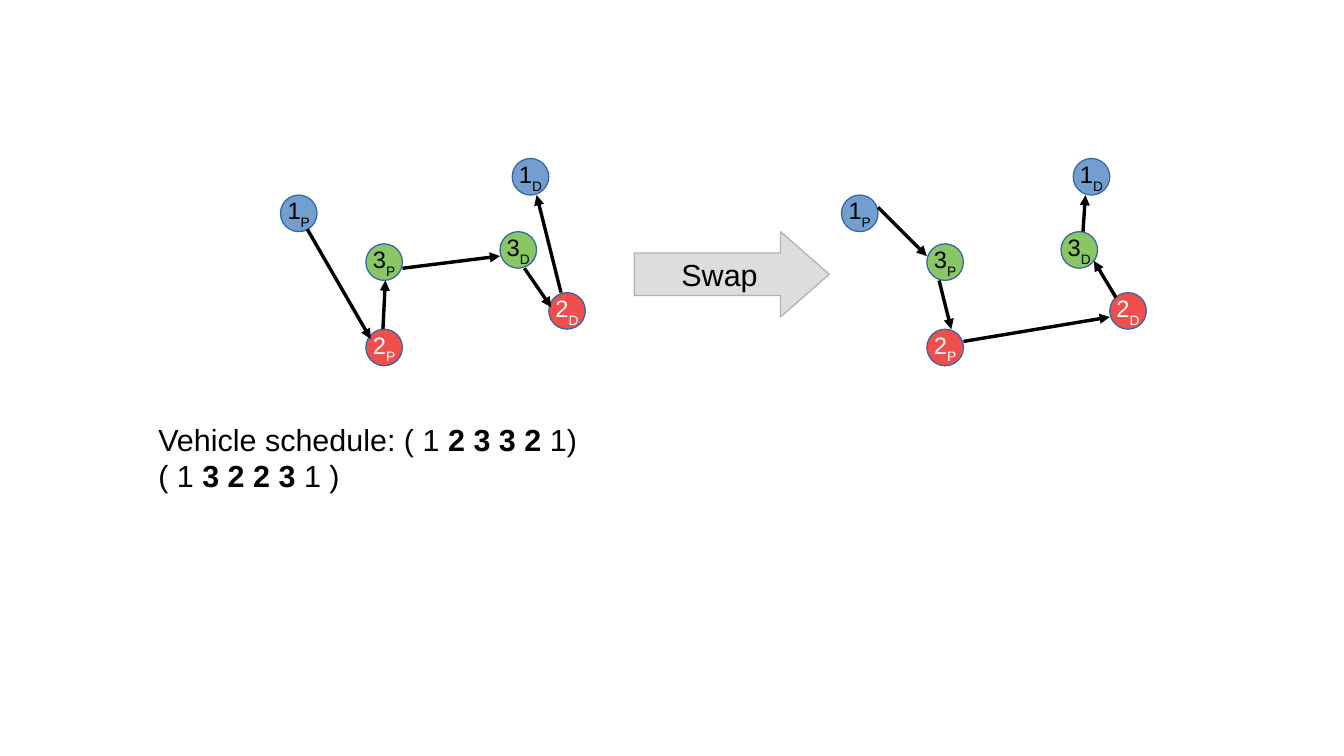
from typing import NamedTuple

import pptx
import pptx.dml.color
import pptx.enum.shapes
import pptx.enum.text
import pptx.oxml.ns
import pptx.shapes.autoshape
import pptx.slide
import pptx.util
from lxml import etree

PX = 9144
NODE_SIZE = 30
AFTER_SWAP_SHIFT = 460

BLACK = pptx.dml.color.RGBColor(0x00, 0x00, 0x00)
WHITE = pptx.dml.color.RGBColor(0xFF, 0xFF, 0xFF)
BLUE = pptx.dml.color.RGBColor(0x72, 0x9F, 0xCF)
RED = pptx.dml.color.RGBColor(0xF0, 0x4E, 0x4D)
GREEN = pptx.dml.color.RGBColor(0x89, 0xC7, 0x65)
NODE_LINE = pptx.dml.color.RGBColor(0x34, 0x65, 0xA4)
LIGHT_GREY = pptx.dml.color.RGBColor(0xDD, 0xDD, 0xDD)
MID_GREY = pptx.dml.color.RGBColor(0xB2, 0xB2, 0xB2)

Color = pptx.dml.color.RGBColor


class Node(NamedTuple):
    request: str
    stop: str
    left: int
    top: int
    fill: Color
    ink: Color


class Leg(NamedTuple):
    x1: int
    y1: int
    x2: int
    y2: int


NODES = [
    Node("1", "P", 230, 160, BLUE, BLACK),
    Node("1", "D", 420, 130, BLUE, BLACK),
    Node("2", "P", 300, 270, RED, WHITE),
    Node("2", "D", 450, 240, RED, WHITE),
    Node("3", "P", 300, 200, GREEN, BLACK),
    Node("3", "D", 410, 190, GREEN, BLACK),
]

LEGS = [
    Leg(252, 188, 304, 278),
    Leg(314, 270, 316, 230),
    Leg(330, 220, 410, 210),
    Leg(430, 220, 452, 252),
    Leg(460, 240, 440, 160),
    Leg(720, 170, 760, 210),
    Leg(770, 230, 780, 270),
    Leg(790, 280, 910, 260),
    Leg(915, 244, 897, 214),
    Leg(888, 190, 890, 160),
]

SCHEDULES = [
    [("Vehicle schedule: ( 1 ", False), ("2 3 3 2", True), (" 1)", False)],
    [("( 1 ", False), ("3 2 2 3", True), (" 1 )", False)],
]


def px(length: int) -> pptx.util.Emu:
    return pptx.util.Emu(length * PX)


def add_run(p, text: str, size: int, ink: Color, bold: bool = False, subscript: bool = False) -> None:
    r = p.add_run()
    r.text = text
    r.font.name = "Arial"
    r.font.size = pptx.util.Pt(size)
    r.font.bold = bold
    r.font.color.rgb = ink
    if subscript:
        r._r.get_or_add_rPr().set("baseline", "-33000")


def add_block(
    s: pptx.slide.Slide,
    kind: pptx.enum.shapes.MSO_SHAPE,
    box: tuple[int, int, int, int],
    fill: Color,
    line: Color,
) -> pptx.shapes.autoshape.Shape:
    sp = s.shapes.add_shape(kind, *map(px, box))
    sp.shadow.inherit = False
    sp.fill.solid()
    sp.fill.fore_color.rgb = fill
    sp.line.color.rgb = line
    sp.line.width = 0
    tf = sp.text_frame
    tf.word_wrap = False
    tf.vertical_anchor = pptx.enum.text.MSO_ANCHOR.MIDDLE
    tf.paragraphs[0].alignment = pptx.enum.text.PP_ALIGN.CENTER
    return sp


def add_node(s: pptx.slide.Slide, node: Node, shift: int) -> None:
    box = (node.left + shift, node.top, NODE_SIZE, NODE_SIZE)
    sp = add_block(s, pptx.enum.shapes.MSO_SHAPE.OVAL, box, node.fill, NODE_LINE)
    p = sp.text_frame.paragraphs[0]
    add_run(p, node.request, 14, node.ink)
    add_run(p, node.stop, 14, node.ink, subscript=True)


def add_leg(s: pptx.slide.Slide, leg: Leg) -> None:
    cxn = s.shapes.add_connector(pptx.enum.shapes.MSO_CONNECTOR.STRAIGHT, *map(px, leg))
    cxn.line.color.rgb = BLACK
    cxn.line.width = 0
    ln = cxn.line._get_or_add_ln()
    etree.SubElement(ln, pptx.oxml.ns.qn("a:tailEnd"), type="triangle")
    etree.SubElement(cxn._element.spPr, pptx.oxml.ns.qn("a:effectLst"))


def add_swap_arrow(s: pptx.slide.Slide) -> None:
    sp = add_block(s, pptx.enum.shapes.MSO_SHAPE.RIGHT_ARROW, (520, 190, 160, 70), LIGHT_GREY, MID_GREY)
    sp.adjustments[0] = 0.5
    sp.adjustments[1] = 0.57
    add_run(sp.text_frame.paragraphs[0], "Swap", 18, BLACK)


def add_schedules(s: pptx.slide.Slide) -> None:
    tf = s.shapes.add_textbox(*map(px, (120, 340, 840, 66))).text_frame
    tf.word_wrap = True
    for i, schedule in enumerate(SCHEDULES):
        p = tf.add_paragraph() if i else tf.paragraphs[0]
        for text, bold in schedule:
            add_run(p, text, 18, BLACK, bold=bold)


def main() -> None:
    prs = pptx.Presentation()
    prs.slide_width, prs.slide_height = px(1102), px(620)
    s = prs.slides.add_slide(prs.slide_layouts[6])
    for shift in (0, AFTER_SWAP_SHIFT):
        for node in NODES:
            add_node(s, node, shift)
    for leg in LEGS:
        add_leg(s, leg)
    add_swap_arrow(s)
    add_schedules(s)
    prs.save("out.pptx")


if __name__ == "__main__":
    main()
